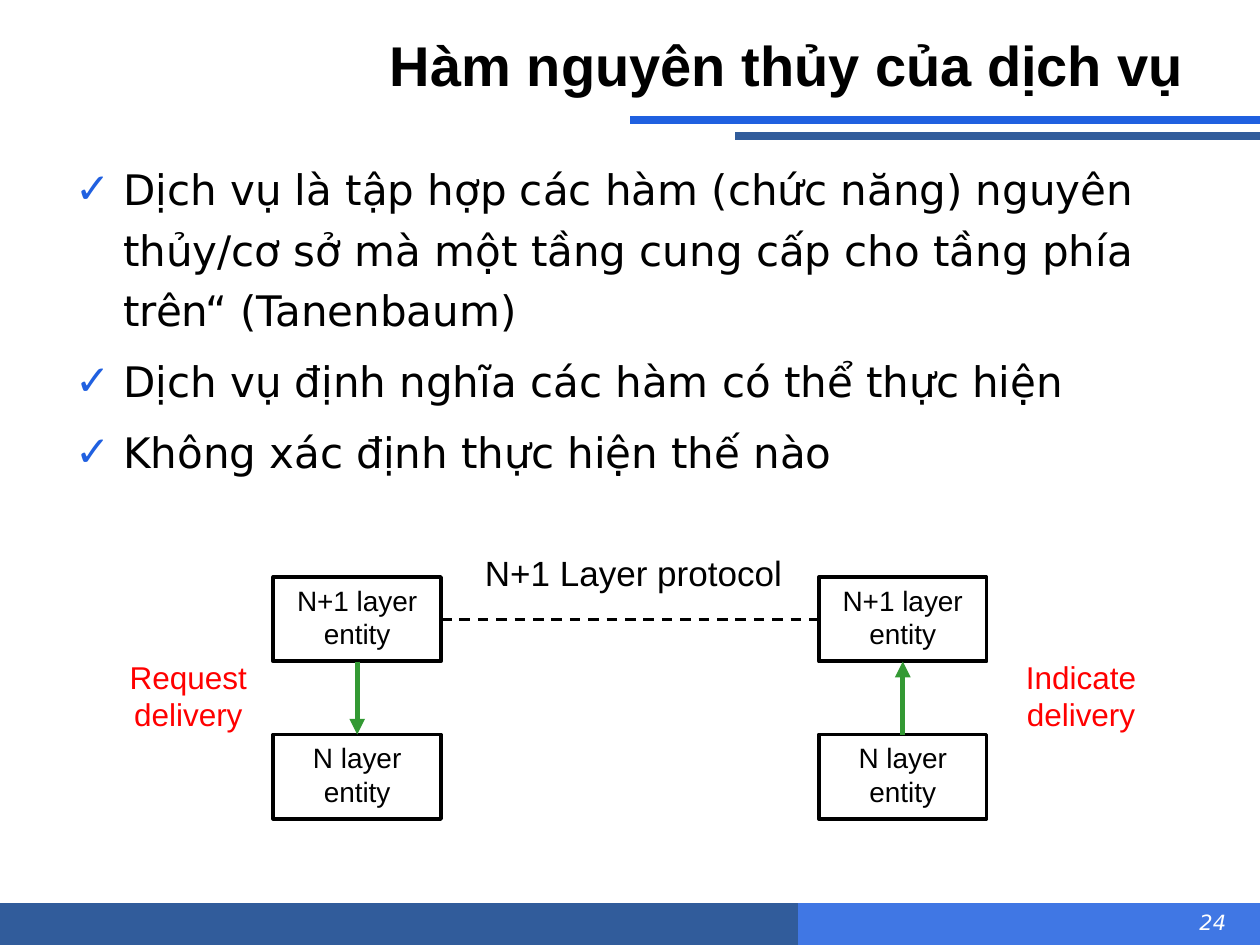
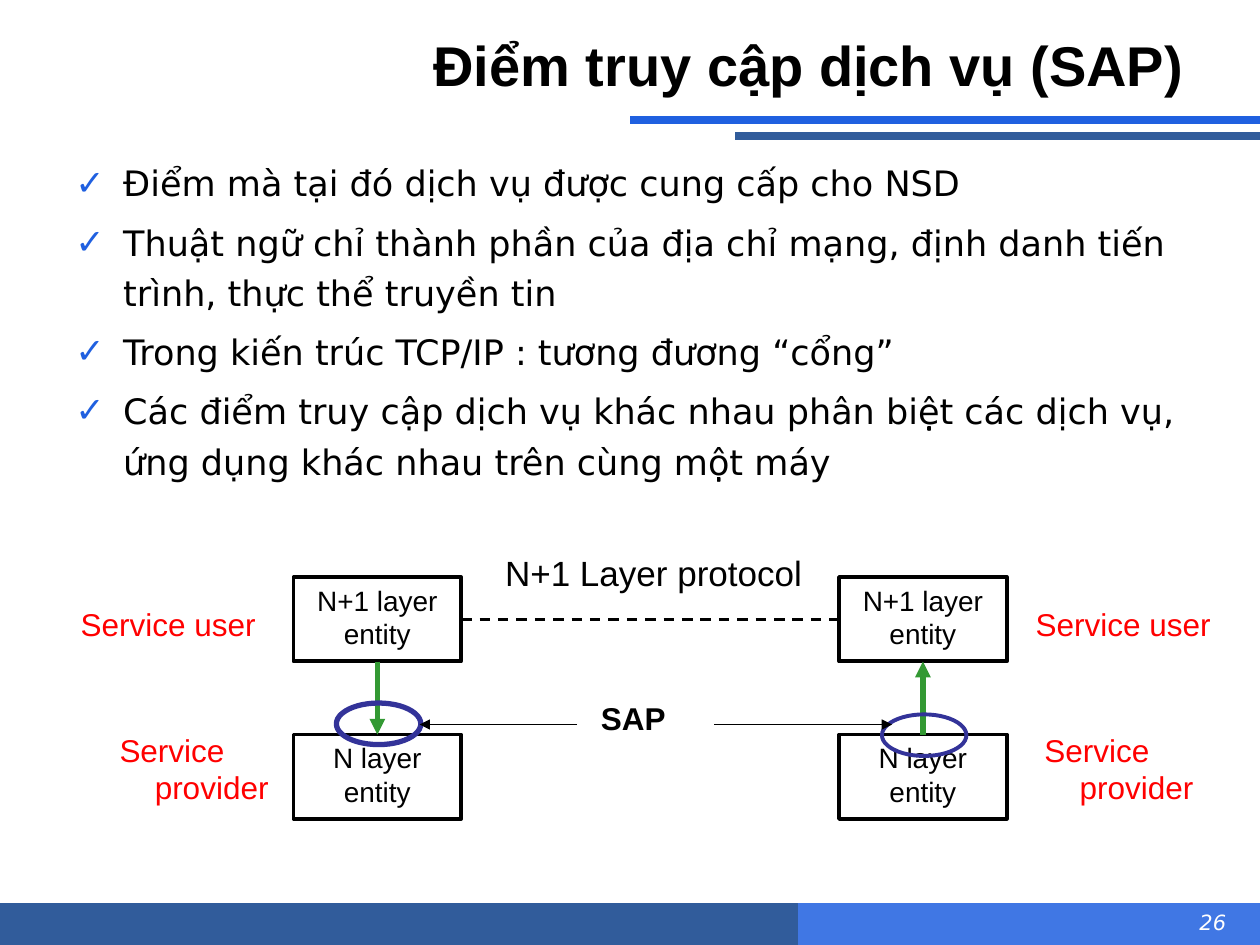
from pptx import Presentation
from pptx.dml.color import RGBColor
from pptx.enum.dml import MSO_LINE_DASH_STYLE as DASH
from pptx.enum.shapes import MSO_CONNECTOR as CONN, MSO_SHAPE as SHAPE
from pptx.enum.text import MSO_ANCHOR as ANCHOR, PP_ALIGN as ALIGN
from pptx.oxml.ns import qn
from pptx.util import Inches, Pt
from lxml import etree

BLACK = RGBColor(0x00, 0x00, 0x00)
WHITE = RGBColor(0xFF, 0xFF, 0xFF)
RED = RGBColor(0xFF, 0x00, 0x00)
GREEN = RGBColor(0x33, 0x99, 0x33)
INDIGO = RGBColor(0x33, 0x33, 0x99)
BRIGHT_BLUE = RGBColor(0x20, 0x60, 0xE0)
DARK_BLUE = RGBColor(0x31, 0x5C, 0x9B)
LIGHT_BLUE = RGBColor(0x40, 0x77, 0xE4)
HEAD_FONT, BODY_FONT = "Arial", "DejaVu Sans"

# Layer diagram: box size, distance between the two columns, row tops
BOX_W, BOX_H, COL_STEP = 1.33, 0.67, 4.33
UPPER, LOWER = 4.58, 5.83


def add_text(tf, text, size=18, font=HEAD_FONT, color=BLACK, bold=False,
             italic=False, align=ALIGN.LEFT, anchor=ANCHOR.TOP, margin=0,
             hang=0, bullet=None, line=None, gap=0):
    """Write text into a frame; a list gives one paragraph per item."""
    tf.word_wrap = True
    tf.vertical_anchor = anchor
    tf.margin_left = tf.margin_right = Inches(0.1)
    tf.margin_top = tf.margin_bottom = Inches(0.05)
    items = [text] if isinstance(text, str) else text
    for i, item in enumerate(items):
        p = tf.paragraphs[0] if i == 0 else tf.add_paragraph()
        p.alignment = align
        if line:
            p.line_spacing = line
        p.space_before = Pt(gap if i else 0)
        pPr = p._p.get_or_add_pPr()
        if hang:
            pPr.set("marL", str(Inches(margin)))
            pPr.set("indent", str(-Inches(hang)))
        if bullet:
            clr = etree.SubElement(pPr, qn("a:buClr"))
            etree.SubElement(clr, qn("a:srgbClr"), val=str(BRIGHT_BLUE))
            etree.SubElement(pPr, qn("a:buFont"), typeface=BODY_FONT)
            etree.SubElement(pPr, qn("a:buChar"), char=bullet)
        r = p.add_run()
        r.text = item
        f = r.font
        f.name, f.size, f.bold, f.italic = font, Pt(size), bold, italic
        f.color.rgb = color


class Deck:
    def __init__(self):
        self.prs = Presentation()
        self.prs.slide_width, self.prs.slide_height = Inches(10), Inches(7.5)
        self.s = None

    def slide(self, title, number):
        self.s = self.prs.slides.add_slide(self.prs.slide_layouts[5])
        # Footer bands and title rules
        self.shape(5, 7.17, 5, 0.33, LIGHT_BLUE, 0.75, fill=LIGHT_BLUE)
        self.shape(0, 7.17, 6.33, 0.33, DARK_BLUE, 0.75, fill=DARK_BLUE)
        self.line(10, 0.95, 5, 0.95, BRIGHT_BLUE, 4.5)
        self.line(10, 1.08, 5.83, 1.08, DARK_BLUE, 4.5)
        # Title and slide number
        sp = self.s.shapes.title
        sp.left, sp.top, sp.width, sp.height = map(Inches, (0.5, 0.17, 9, 0.67))
        add_text(sp.text_frame, title, size=32, bold=True, align=ALIGN.RIGHT,
                 anchor=ANCHOR.MIDDLE)
        self.text(number, 8, 7.17, 1.83, 0.33, size=12, font=BODY_FONT,
                  color=WHITE, italic=True, align=ALIGN.RIGHT)

    def shape(self, x, y, w, h, color, weight, fill=None, kind=SHAPE.RECTANGLE):
        sp = self.s.shapes.add_shape(kind, *map(Inches, (x, y, w, h)))
        sp.shadow.inherit = False
        if fill is None:
            sp.fill.background()
        else:
            sp.fill.solid()
            sp.fill.fore_color.rgb = fill
        sp.line.color.rgb = color
        sp.line.width = Pt(weight)
        return sp

    def line(self, x1, y1, x2, y2, color, weight, dash=None, arrow=False):
        sp = self.s.shapes.add_connector(CONN.STRAIGHT,
                                         *map(Inches, (x1, y1, x2, y2)))
        sp.line.color.rgb = color
        sp.line.width = Pt(weight)
        if dash:
            sp.line.dash_style = dash
        if arrow:
            etree.SubElement(sp.line._get_or_add_ln(), qn("a:tailEnd"),
                             type="triangle")
        etree.SubElement(sp._element.spPr, qn("a:effectLst"))

    def text(self, text, x, y, w, h, **fmt):
        sp = self.s.shapes.add_textbox(*map(Inches, (x, y, w, h)))
        add_text(sp.text_frame, text, **fmt)

    def bullets(self, items, size, gap):
        self.text(items, 0.5, 1.17, 9, 5.67, size=size, font=BODY_FONT,
                  margin=0.38, hang=0.38, bullet="✓", line=1.2, gap=gap)

    def label(self, text, x, y, w, h=0.7, **fmt):
        self.text(text, x, y, w, h, color=RED, **{"align": ALIGN.CENTER, **fmt})

    def layers(self, left):
        """Two columns of layer entities joined by the N+1 protocol."""
        right = left + COL_STEP
        for x in (left, right):
            for y, name in ((UPPER, "N+1 layer entity"), (LOWER, "N layer entity")):
                sp = self.shape(x, y, BOX_W, BOX_H, BLACK, 2.25)
                add_text(sp.text_frame, name, size=16, align=ALIGN.CENTER)
        mid, bottom = UPPER + BOX_H / 2, UPPER + BOX_H
        self.line(left + BOX_W, mid, right, mid, BLACK, 1.5, dash=DASH.DASH)
        for x, y1, y2 in ((left, bottom, LOWER), (right, LOWER, bottom)):
            x += BOX_W / 2
            self.line(x, y1, x, y2, GREEN, 3, arrow=True)
        self.text("N+1 Layer protocol", left + 1.58, 4.33, 2.58, 0.44, size=20)


def service_primitives(deck):
    deck.slide("Hàm nguyên thủy của dịch vụ", "24")
    deck.bullets([
        "Dịch vụ là tập hợp các hàm (chức năng) nguyên thủy/cơ sở mà một tầng "
        "cung cấp cho tầng phía trên“ (Tanenbaum)",
        "Dịch vụ định nghĩa các hàm có thể thực hiện",
        "Không xác định thực hiện thế nào",
    ], size=24, gap=6)
    deck.layers(2.17)
    deck.label("Request delivery", 0.83, 5.17, 1.33)
    deck.label("Indicate delivery", 7.83, 5.17, 1.5)


def service_access_point(deck):
    deck.slide("Điểm truy cập dịch vụ (SAP)", "26")
    deck.bullets([
        "Điểm mà tại đó dịch vụ được cung cấp cho NSD",
        "Thuật ngữ chỉ thành phần của địa chỉ mạng, định danh tiến trình, "
        "thực thể truyền tin",
        "Trong kiến trúc TCP/IP : tương đương “cổng”",
        "Các điểm truy cập dịch vụ khác nhau phân biệt các dịch vụ, ứng dụng "
        "khác nhau trên cùng một máy",
    ], size=20, gap=5)
    deck.layers(2.33)
    # Roles beside the layers
    deck.label("Service user", 0.25, 4.75, 2.17, 0.4)
    deck.label("Service user", 8.08, 4.75, 1.67, 0.4)
    for x in (0.83, 8.17):
        deck.label("Service provider", x, 5.75, 1.58, align=ALIGN.LEFT,
                   margin=0.3, hang=0.28)
    # Access points
    for x, y, weight in ((2.67, 5.58, 3), (7, 5.67, 2.25)):
        deck.shape(x, y, 0.67, 0.33, INDIGO, weight, kind=SHAPE.OVAL)
    for x1, x2 in ((4.58, 3.33), (5.67, 7.08)):
        deck.line(x1, 5.75, x2, 5.75, BLACK, 0.75, arrow=True)
    deck.text("SAP", 4.67, 5.5, 1.17, 0.4, bold=True)


def main():
    deck = Deck()
    service_primitives(deck)
    service_access_point(deck)
    deck.prs.save("out.pptx")


if __name__ == "__main__":
    main()
